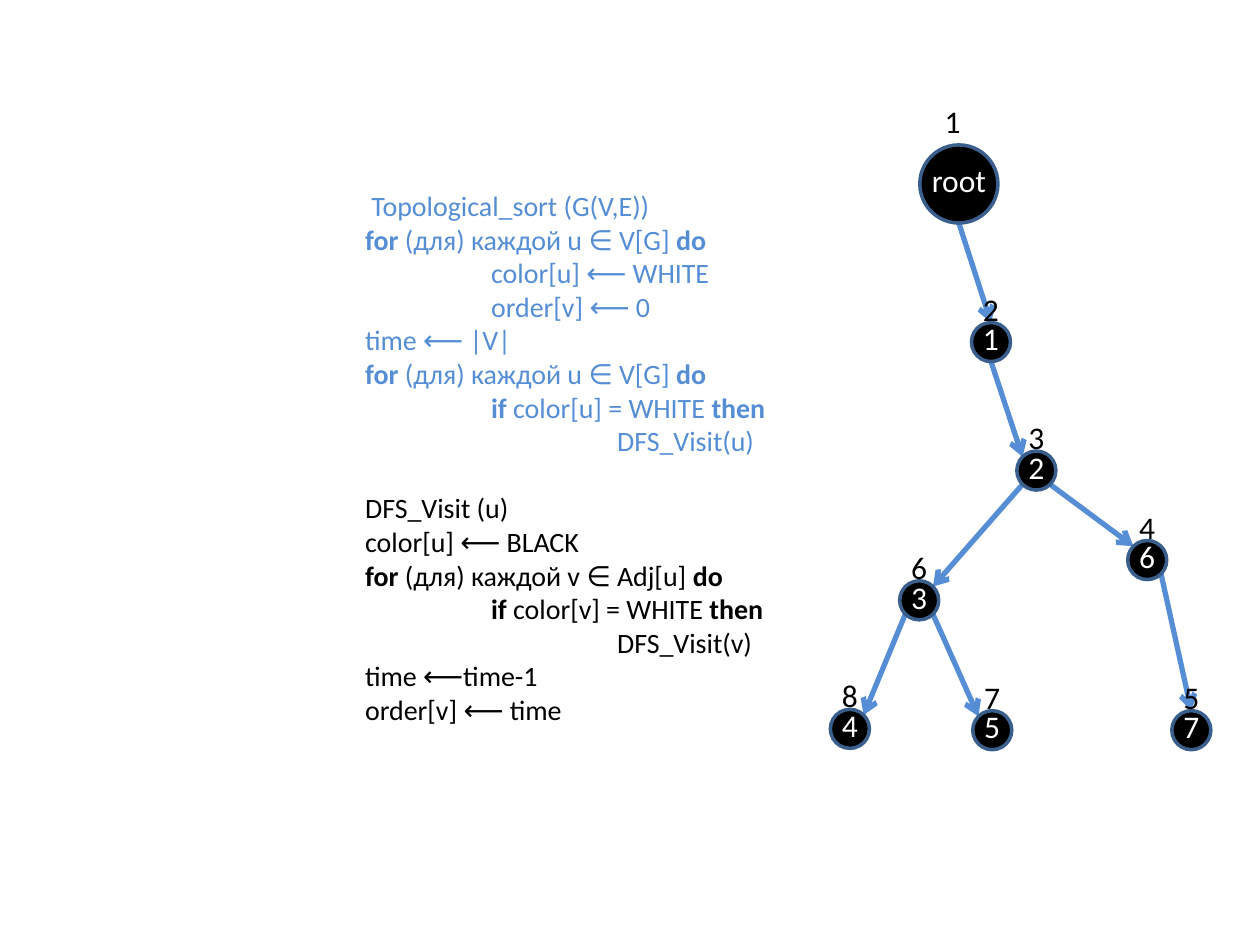
from dataclasses import dataclass
from math import cos, radians, sin

from lxml import etree
from pptx import Presentation
from pptx.dml.color import RGBColor
from pptx.enum.shapes import MSO_CONNECTOR, MSO_SHAPE
from pptx.enum.text import MSO_ANCHOR, PP_ALIGN
from pptx.oxml.ns import qn
from pptx.util import Inches, Pt

LINE, OVAL = MSO_CONNECTOR.STRAIGHT, MSO_SHAPE.OVAL
CENTER, MIDDLE, TOP = PP_ALIGN.CENTER, MSO_ANCHOR.MIDDLE, MSO_ANCHOR.TOP
COLS, ROWS = 100, 75


@dataclass(frozen=True)
class Theme:
    font: str = "Calibri"
    blue: RGBColor = RGBColor(0x55, 0x8E, 0xD5)
    rim: RGBColor = RGBColor(0x3A, 0x5F, 0x8C)
    black: RGBColor = RGBColor(0, 0, 0)
    white: RGBColor = RGBColor(255, 255, 255)
    code: float = 16
    lead: float = 19.2
    label: float = 18
    edge: float = 3
    ring: float = 2


@dataclass(frozen=True)
class Node:
    text: str
    order: str
    x: float
    y: float
    size: float = 3.1
    shift: float = 0
    rise: float = 2.65

    def rim(self, angle):
        """Point on the circle, clockwise from the right."""
        turn = radians(angle)
        half = self.size / 2
        return self.x + half * cos(turn), self.y + half * sin(turn)


# Angles of the points where edges touch a circle
NORTH, SOUTH = 270, 90
NW, NE, SE, SW = 225, 315, 45, 135

NODES = {
    node.text: node
    for node in (
        Node("root", "1", 76.1, 14.6, 6.2, -0.5, 5),
        Node("1", "2", 78.65, 27.15),
        Node("2", "3", 82.25, 37.35),
        Node("3", "6", 72.95, 47.65),
        Node("4", "8", 67.45, 57.85),
        Node("5", "7", 78.75, 57.95),
        Node("6", "4", 91.05, 44.45),
        Node("7", "5", 94.55, 57.95),
    )
}
EDGES = (
    ("root", SOUTH, "1", NORTH),
    ("1", SOUTH, "2", NW),
    ("2", SW, "3", NE),
    ("2", SE, "6", NW),
    ("3", SW, "4", NE),
    ("3", SE, "5", NW),
    ("6", SE, "7", NORTH),
)

# Each line: indent level, text with *bold* words
SORT = (
    (0, " Topological_sort (G(V,E))"),
    (0, "*for* (для) каждой u ∈ V[G] *do*"),
    (1, "color[u] ⟵ WHITE"),
    (1, "order[v] ⟵ 0"),
    (0, "time ⟵ |V|"),
    (0, "*for* (для) каждой u ∈ V[G] *do*"),
    (1, "*if* color[u] = WHITE *then*"),
    (2, "DFS_Visit(u)"),
)
VISIT = (
    (0, "DFS_Visit (u)"),
    (0, "color[u] ⟵ BLACK"),
    (0, "*for* (для) каждой v ∈ Adj[u] *do*"),
    (1, "*if* color[v] = WHITE *then*"),
    (2, "DFS_Visit(v)"),
    (0, "time ⟵time-1"),
    (0, "order[v] ⟵ time"),
)


class Board:
    def __init__(self, deck, theme):
        self.theme = theme
        self.wide, self.high = deck.slide_width, deck.slide_height
        self.shapes = deck.slides.add_slide(deck.slide_layouts[6]).shapes

    def grid(self, *nums):
        """Turn column, row pairs into slide lengths."""
        units = (self.wide / COLS, self.high / ROWS)
        return [round(num * units[i % 2]) for i, num in enumerate(nums)]

    def frame(self, box, anchor, wrap):
        frame = self.shapes.add_textbox(*self.grid(*box)).text_frame
        frame.word_wrap = wrap
        frame.vertical_anchor = anchor
        return frame

    def style(self, para, size, color):
        font = para.font
        font.name, font.size = self.theme.font, Pt(size)
        font.color.rgb = color

    def code(self, box, blocks):
        """Write blocks of (lines, color), one empty line's height apart."""
        theme = self.theme
        frame = self.frame(box, MIDDLE, True)
        para = frame.paragraphs[0]
        for part, (lines, color) in enumerate(blocks):
            for row, (level, line) in enumerate(lines):
                if part or row:
                    para = frame.add_paragraph()
                self.style(para, theme.code, color)
                para.line_spacing = Pt(theme.lead)
                if part and not row:
                    para.space_before = Pt(theme.lead)
                props = para._p.get_or_add_pPr()
                props.set("marL", str(Inches(level)))
                props.set("indent", "0")
                for i, text in enumerate(line.split("*")):
                    if text:
                        run = para.add_run()
                        run.text = text
                        if i % 2:
                            run.font.bold = True

    def label(self, text, x, y, color, width=3.4):
        """Centre a short text on a point."""
        frame = self.frame((x - width / 2, y - 2, width, 4), TOP, False)
        frame.margin_left = frame.margin_right = 0
        para = frame.paragraphs[0]
        para.text, para.alignment = text, CENTER
        self.style(para, self.theme.label, color)

    def node(self, node):
        theme, size = self.theme, node.size
        left, top = node.x - size / 2, node.y - size / 2
        disc = self.shapes.add_shape(OVAL, *self.grid(left, top, size, size))
        disc.shadow.inherit = False
        disc.fill.solid()
        disc.fill.fore_color.rgb = theme.black
        disc.line.color.rgb = theme.rim
        disc.line.width = Pt(theme.ring)
        self.label(node.text, node.x, node.y - 0.3, theme.white, size + 0.3)
        self.label(node.order, node.x + node.shift, node.y - node.rise, theme.black)

    def edge(self, start, end):
        line = self.shapes.add_connector(LINE, *self.grid(*start, *end))
        line.line.color.rgb = self.theme.blue
        line.line.width = Pt(self.theme.edge)
        stroke = line.line._get_or_add_ln()
        etree.SubElement(stroke, qn("a:tailEnd"), type="arrow")
        etree.SubElement(line._element.spPr, qn("a:effectLst"))


def main():
    deck = Presentation()
    deck.slide_width, deck.slide_height = Inches(10), Inches(7.5)
    theme = Theme()
    board = Board(deck, theme)
    board.code((28, 3.6, 67.7, 65.4), ((SORT, theme.blue), (VISIT, theme.black)))
    for start, out, end, into in EDGES:
        board.edge(NODES[start].rim(out), NODES[end].rim(into))
    for node in NODES.values():
        board.node(node)
    deck.save("out.pptx")


if __name__ == "__main__":
    main()
